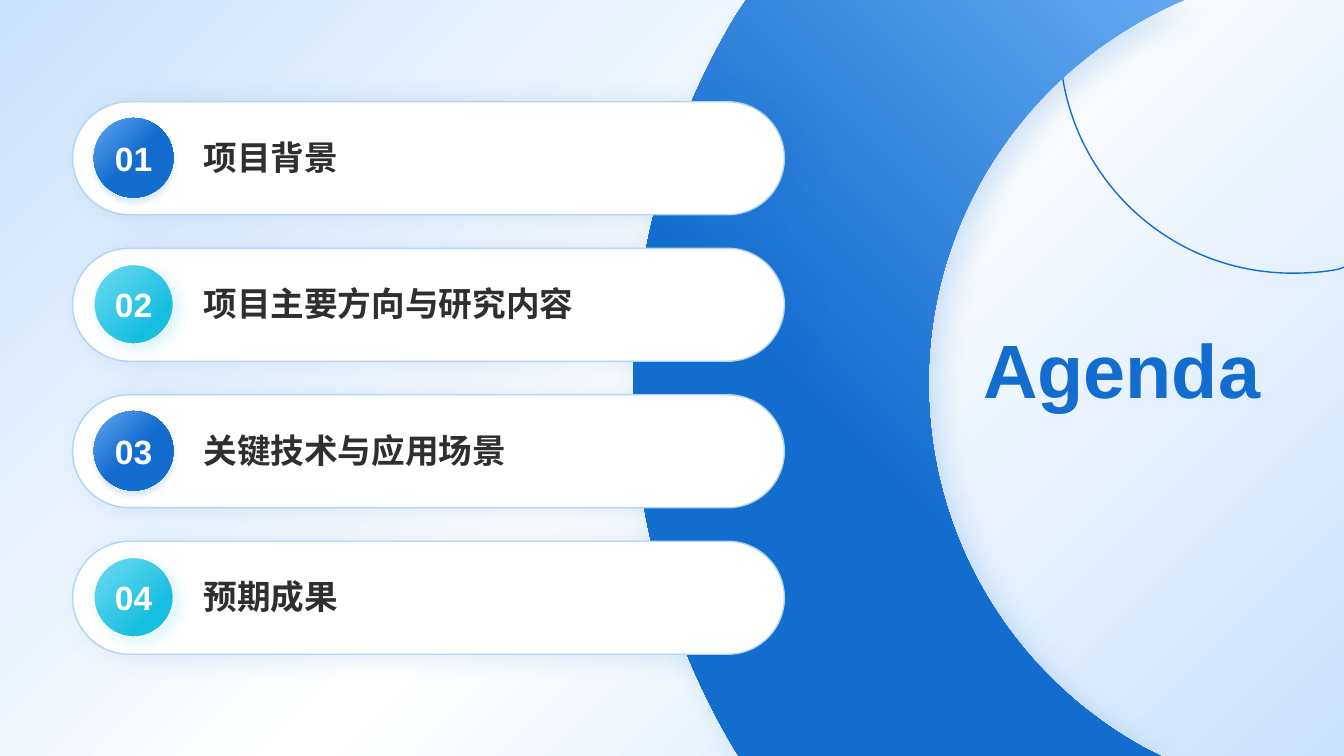
import copy

import pptx
import pptx.dml.color
import pptx.enum.shapes
import pptx.enum.text
import pptx.oxml
import pptx.oxml.ns
import pptx.util

Inches = pptx.util.Inches
Pt = pptx.util.Pt
rgb = pptx.dml.color.RGBColor.from_string
qn = pptx.oxml.ns.qn
ROUND = pptx.enum.shapes.MSO_SHAPE.ROUNDED_RECTANGLE
MIDDLE = pptx.enum.text.MSO_ANCHOR.MIDDLE
ALIGN = pptx.enum.text.PP_ALIGN


def set_gradient(fill, stops, angle=315):
    fill.gradient()
    fill.gradient_angle = angle
    for stop, (position, color) in zip(fill.gradient_stops, stops):
        stop.position = position
        stop.color.rgb = rgb(color)


def set_shadow(shape, color, alpha, blur, dist, angle):
    shape.shadow.inherit = False
    effects = shape._element.spPr.find(qn("a:effectLst"))
    effects.append(pptx.oxml.parse_xml(
        f'<a:outerShdw xmlns:a="http://schemas.openxmlformats.org/drawingml/2006/main" '
        f'blurRad="{Pt(blur)}" dist="{Pt(dist)}" dir="{angle * 60000}" algn="ctr" rotWithShape="0">'
        f'<a:srgbClr val="{color}"><a:alpha val="{alpha * 1000}"/></a:srgbClr></a:outerShdw>'))


prs = pptx.Presentation()
prs.slide_width = Inches(13.33)
prs.slide_height = Inches(7.5)
s = prs.slides.add_slide(prs.slide_layouts[5])

set_gradient(s.background.fill, [(0, "CBE2FA"), (0.5, "FFFFFF")])
stops = s._element.find(".//" + qn("a:gsLst"))
last_stop = copy.deepcopy(stops[0])
last_stop.set("pos", "100000")
stops.append(last_stop)

ring_curve = [
    [(10.54, 0)], [(10.52, 0.17)],
    [(10.51, 0.24), (10.51, 0.32), (10.51, 0.4)],
    [(10.51, 1.68), (11.54, 2.71), (12.82, 2.71)],
    [(12.98, 2.71), (13.13, 2.7), (13.28, 2.67)],
    [(13.33, 2.65)],
]
crescent_curve = [
    [(7.4, 0)], [(11.75, 0)], [(11.73, 0.01)],
    [(10.25, 0.63), (9.21, 2.1), (9.21, 3.8)],
    [(9.21, 5.37), (10.08, 6.73), (11.37, 7.43)],
    [(11.51, 7.5)], [(7.33, 7.5)], [(7.3, 7.46)],
    [(6.66, 6.39), (6.28, 5.14), (6.28, 3.8)],
    [(6.28, 2.47), (6.66, 1.22), (7.3, 0.15)],
]
outlines = []
for curve, closed in [(ring_curve, False), (crescent_curve, True)]:
    points = [(Inches(x), Inches(y)) for segment in curve for x, y in segment]
    builder = s.shapes.build_freeform(*points[0])
    builder.add_line_segments(points[1:], close=closed)
    sp = builder.convert_to_shape()
    lines = iter(sp._element.findall(".//" + qn("a:lnTo")))
    for segment in curve[1:]:
        first = next(lines)
        if len(segment) == 3:
            bezier = first.makeelement(qn("a:cubicBezTo"))
            first.addprevious(bezier)
            for line in (first, next(lines), next(lines)):
                bezier.append(line[0])
                line.getparent().remove(line)
    outlines.append(sp)

ring, crescent = outlines
ring.fill.background()
ring.line.color.rgb = rgb("136DCF")
ring.line.width = Pt(1)
ring.shadow.inherit = False
set_gradient(crescent.fill, [(0, "63A7F1"), (0.6, "136DCF")], 225)
crescent.line.fill.background()
set_shadow(crescent, "136DCF", 20, 20, 10, 45)

title = s.shapes.title
title.left, title.top, title.width, title.height = map(Inches, (8.68, 2.85, 3.92, 1.6))
s.shapes._spTree.append(title._element)
tf = title.text_frame
tf.text = "Agenda"
tf.word_wrap = False
tf.auto_size = pptx.enum.text.MSO_AUTO_SIZE.NONE
tf.vertical_anchor = MIDDLE
p = tf.paragraphs[0]
p.alignment = ALIGN.RIGHT
p.font.name = "Arial"
p.font.size = Pt(54)
p.font.bold = True
p.font.color.rgb = rgb("136DCF")

topics = ["项目背景", "项目主要方向与研究内容", "关键技术与应用场景", "预期成果"]
first_top, last_top = 1.01, 5.37
pitch = (last_top - first_top) / (len(topics) - 1)
for i, topic in enumerate(topics):
    top = first_top + pitch * i
    bar = s.shapes.add_shape(ROUND, Inches(0.72), Inches(top), Inches(7.06), Inches(1.12))
    bar.adjustments[0] = 0.5
    bar.fill.solid()
    bar.fill.fore_color.rgb = rgb("FFFFFF")
    bar.line.color.rgb = rgb("B1D3F8")
    bar.line.width = Pt(1)
    set_shadow(bar, "136DCF", 15, 20, 10, 0)

    label = s.shapes.add_textbox(Inches(1.92), Inches(top + 0.18), Inches(5.58), Inches(0.73))
    badge = s.shapes.add_shape(ROUND, Inches(0.93), Inches(top + 0.16), Inches(0.79), Inches(0.79))
    badge.adjustments[0] = 0.5
    if i % 2:
        set_gradient(badge.fill, [(0, "6FDBF1"), (0.75, "16BEE0")])
        badge.line.color.rgb = rgb("FFFFFF")
        badge.line.width = Pt(1)
        set_shadow(badge, "16BEE0", 15, 10, 5, 45)
    else:
        set_gradient(badge.fill, [(0, "63A7F1"), (0.5, "136DCF")])
        badge.line.fill.background()
        set_shadow(badge, "136DCF", 15, 4, 4, 90)

    for sp, text, color, align, wrap in [
        (label, topic, "2F2F2F", ALIGN.LEFT, True),
        (badge, f"{i + 1:02}", "FFFFFF", ALIGN.CENTER, False),
    ]:
        tf = sp.text_frame
        tf.text = text
        tf.word_wrap = wrap
        tf.vertical_anchor = MIDDLE
        p = tf.paragraphs[0]
        p.alignment = align
        p.font.name = "Arial"
        p.font.size = Pt(24)
        p.font.bold = True
        p.font.color.rgb = rgb(color)

prs.save("out.pptx")
